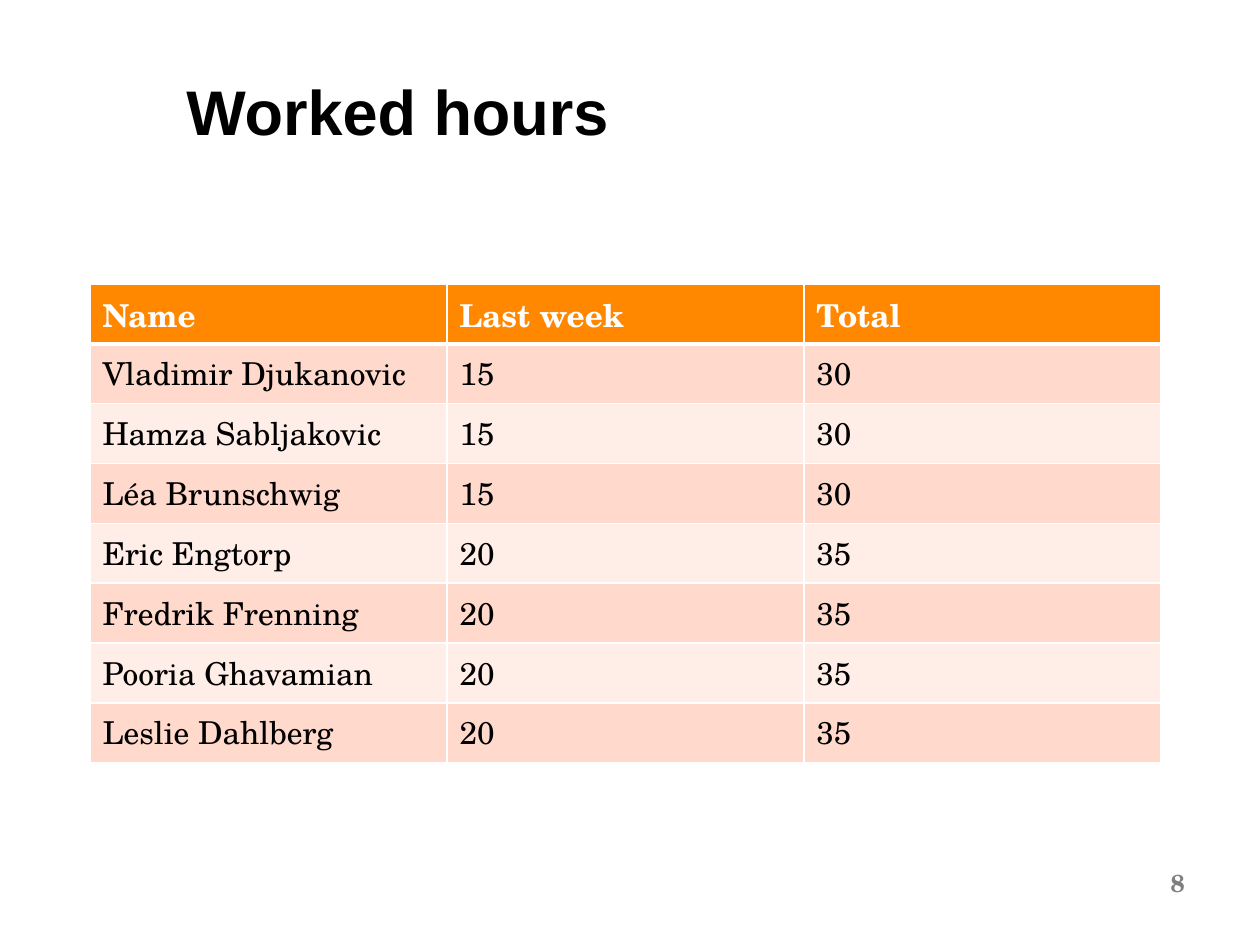
from dataclasses import dataclass

from lxml.etree import SubElement
from pptx import Presentation
from pptx.dml.color import RGBColor
from pptx.enum.text import MSO_ANCHOR, PP_ALIGN
from pptx.oxml.ns import qn
from pptx.util import Pt


@dataclass(frozen=True)
class Theme:
    title_font: str = "Arial"
    body_font: str = "TeX Gyre Schola"
    title_size: int = 36
    table_size: int = 18
    number_size: int = 14
    black: str = "000000"
    white: str = "FFFFFF"
    gray: str = "808080"
    header: str = "FF8800"
    bands: tuple = ("FFDACC", "FFEDE7")


THEME = Theme()
HOURS = [
    ("Name", "Last week", "Total"),
    ("Vladimir Djukanovic", "15", "30"),
    ("Hamza Sabljakovic", "15", "30"),
    ("Léa Brunschwig", "15", "30"),
    ("Eric Engtorp", "20", "35"),
    ("Fredrik Frenning", "20", "35"),
    ("Pooria Ghavamian", "20", "35"),
    ("Leslie Dahlberg", "20", "35"),
]


def set_text(tf, text, font, size, color, bold):
    tf.text = text
    p = tf.paragraphs[0]
    r = p.runs[0]
    r.font.name = font
    r.font.size = Pt(size)
    r.font.bold = bold
    r.font.color.rgb = RGBColor.from_string(color)
    return p


def add_box(s, box, anchor):
    tf = s.shapes.add_textbox(*map(Pt, box)).text_frame
    tf.word_wrap = True
    tf.vertical_anchor = anchor
    return tf


def add_title(s, box, text):
    tf = add_box(s, box, MSO_ANCHOR.TOP)
    p = set_text(tf, text, THEME.title_font, THEME.title_size, THEME.black, True)
    p.line_spacing = Pt(40)


def add_slide_number(s, box, text):
    tf = add_box(s, box, MSO_ANCHOR.MIDDLE)
    p = set_text(tf, text, THEME.body_font, THEME.number_size, THEME.gray, True)
    p.alignment = PP_ALIGN.RIGHT


def set_borders(cell, widths):
    tc_pr = cell._tc.get_or_add_tcPr()
    for i, (side, width) in enumerate(widths.items()):
        ln = SubElement(tc_pr, qn(f"a:{side}"), w=str(Pt(width)))
        fill = SubElement(ln, qn("a:solidFill"))
        SubElement(fill, qn("a:srgbClr"), val=THEME.white)
        tc_pr.remove(ln)
        tc_pr.insert(i, ln)


def add_hours_table(s, box, rows):
    left, top, width, height = box
    n_rows, n_cols = len(rows), len(rows[0])
    table = s.shapes.add_table(n_rows, n_cols, *map(Pt, box)).table
    for col in table.columns:
        col.width = Pt(width / n_cols)
    for i, values in enumerate(rows):
        table.rows[i].height = Pt(height / n_rows)
        is_header = i == 0
        fill = THEME.header if is_header else THEME.bands[(i - 1) % 2]
        color = THEME.white if is_header else THEME.black
        widths = {"lnL": 1, "lnR": 1, "lnT": 3 if i == 1 else 1, "lnB": 3 if is_header else 1}
        for j, value in enumerate(values):
            cell = table.cell(i, j)
            cell.fill.solid()
            cell.fill.fore_color.rgb = RGBColor.from_string(fill)
            set_text(cell.text_frame, value, THEME.body_font, THEME.table_size, color, is_header)
            set_borders(cell, widths)


def main():
    prs = Presentation()
    prs.slide_width, prs.slide_height = Pt(720), Pt(540)
    s = prs.slides.add_slide(prs.slide_layouts[6])
    add_title(s, (99.4, 41, 516, 101), "Worked hours")
    add_slide_number(s, (620.6, 494.6, 63.4, 19.4), "8")
    add_hours_table(s, (51.4, 162.3, 612, 273.6), HOURS)
    prs.save("out.pptx")


if __name__ == "__main__":
    main()
